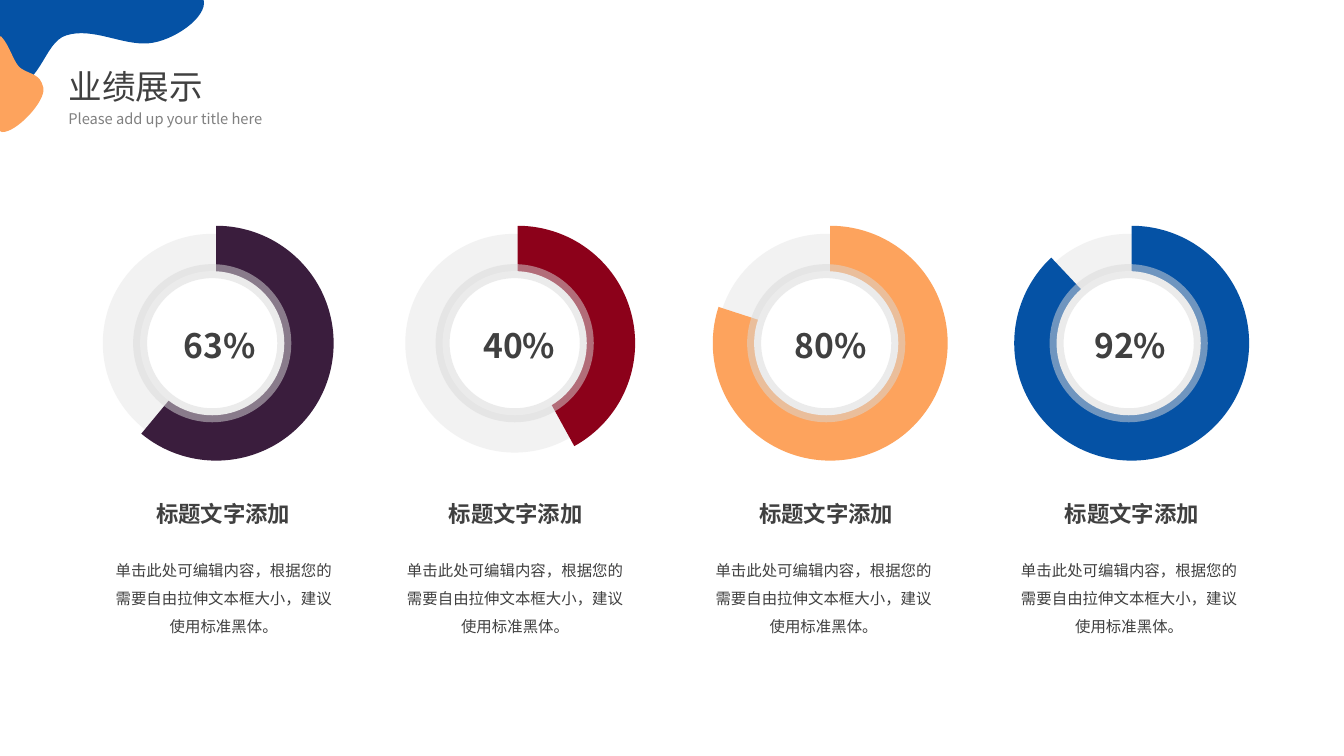
from dataclasses import dataclass

from lxml.etree import SubElement
from pptx import Presentation
from pptx.dml.color import RGBColor
from pptx.enum.shapes import MSO_SHAPE
from pptx.enum.text import MSO_ANCHOR, MSO_AUTO_SIZE, PP_ALIGN
from pptx.oxml.ns import qn
from pptx.shapes.autoshape import Shape
from pptx.slide import Slide
from pptx.util import Inches, Pt

Point = tuple[float, float]
Segment = tuple[Point, ...]


@dataclass(frozen=True)
class Theme:
    font: str = "Noto Sans CJK SC"
    text: str = "404040"
    muted: str = "808080"
    track: str = "F2F2F2"
    ring: str = "D9D9D9"
    white: str = "FFFFFF"
    plum: str = "3A1D3D"
    red: str = "8C011A"
    orange: str = "FDA35D"
    blue: str = "0552A5"
    title_size: float = 24
    subtitle_size: float = 10.5
    percent_size: float = 24
    heading_size: float = 16
    body_size: float = 11


@dataclass(frozen=True)
class Gauge:
    percent: str
    color: str
    end_angle: float
    left: float
    pie_left: float
    percent_left: float
    heading_left: float
    body_left: float


@dataclass(frozen=True)
class Blob:
    color: str
    start: Point
    segments: tuple[Segment, ...]


THEME = Theme()
HEADING = "标题文字添加"
BODY = "单击此处可编辑内容，根据您的需要自由拉伸文本框大小，建议使用标准黑体。"
START_ANGLE = 270
ADJUSTMENT_PER_DEGREE = 0.6

GAUGES = (
    Gauge("63%", THEME.plum, 129.6, 1.02, 0.98, 1.69, 0.97, 1.04),
    Gauge("40%", THEME.red, 61.2, 4.02, 3.97, 4.66, 3.87, 3.93),
    Gauge("80%", THEME.orange, 198, 7.11, 7.07, 7.75, 6.95, 6.99),
    Gauge("92%", THEME.blue, 226.8, 10.11, 10.06, 10.72, 9.98, 10.02),
)

BLOBS = (
    Blob(THEME.blue, (0, 0), (
        ((2.02, 0),),
        ((2.06, 0.17), (1.72, 0.41), (1.47, 0.43)),
        ((1.21, 0.45), (0.92, 0.27), (0.66, 0.35)),
        ((0.42, 0.42), (0.42, 0.9), (0, 0.91)),
    )),
    Blob(THEME.orange, (0, 0.36), (
        ((0.01, 0.36),),
        ((0.1, 0.45), (0.14, 0.64), (0.21, 0.68)),
        ((0.3, 0.74), (0.4, 0.73), (0.43, 0.87)),
        ((0.46, 1), (0.16, 1.32), (0.02, 1.31)),
        ((0, 1.3),),
    )),
)


def place(sp: Shape, left: float, top: float, width: float, height: float) -> None:
    sp.left, sp.top = Inches(left), Inches(top)
    sp.width, sp.height = Inches(width), Inches(height)


def write(sp: Shape, text: str, *, size: float, color: str = THEME.text,
          bold: bool = False, align: PP_ALIGN = PP_ALIGN.CENTER,
          spacing: float = 1.0) -> None:
    tf = sp.text_frame
    tf.word_wrap = True
    tf.auto_size = MSO_AUTO_SIZE.SHAPE_TO_FIT_TEXT
    tf.vertical_anchor = MSO_ANCHOR.TOP
    p = tf.paragraphs[0]
    p.alignment = align
    p.line_spacing = spacing
    r = p.add_run()
    r.text = text
    r.font.name = THEME.font
    r.font.size = Pt(size)
    r.font.bold = bold
    r.font.color.rgb = RGBColor.from_string(color)
    SubElement(r.font._element, qn("a:ea"), typeface=THEME.font)


def add_text(slide: Slide, left: float, top: float, width: float, height: float,
             text: str, **style) -> None:
    sp = slide.shapes.add_textbox(0, 0, 0, 0)
    place(sp, left, top, width, height)
    write(sp, text, **style)


def paint(sp: Shape, color: str) -> None:
    sp.shadow.inherit = False
    sp.fill.solid()
    sp.fill.fore_color.rgb = RGBColor.from_string(color)
    sp.line.fill.background()


def add_round(slide: Slide, kind: MSO_SHAPE, left: float, top: float,
              size: float, color: str) -> Shape:
    sp = slide.shapes.add_shape(kind, Inches(left), Inches(top), Inches(size), Inches(size))
    paint(sp, color)
    return sp


def add_gauge(slide: Slide, gauge: Gauge) -> None:
    add_round(slide, MSO_SHAPE.OVAL, gauge.left, 2.32, 2.17, THEME.track)
    pie = add_round(slide, MSO_SHAPE.PIE, gauge.pie_left, 2.24, 2.33, gauge.color)
    pie.adjustments[0] = START_ANGLE * ADJUSTMENT_PER_DEGREE
    pie.adjustments[1] = gauge.end_angle * ADJUSTMENT_PER_DEGREE
    hub = add_round(slide, MSO_SHAPE.OVAL, gauge.left + 0.37, 2.69, 1.43, THEME.white)
    hub.line.width = Pt(10)
    hub.line.color.rgb = RGBColor.from_string(THEME.ring)
    ring_color = hub.line._ln.find(".//" + qn("a:srgbClr"))
    SubElement(ring_color, qn("a:alpha"), val="50000")

    add_text(slide, gauge.percent_left, 3.17, 0.98, 0.5, gauge.percent,
             size=THEME.percent_size, bold=True)
    add_text(slide, gauge.heading_left, 4.91, 2.49, 0.37, HEADING,
             size=THEME.heading_size, bold=True)
    add_text(slide, gauge.body_left, 5.43, 2.36, 0.93, BODY,
             size=THEME.body_size, spacing=1.5)


def add_blob(slide: Slide, blob: Blob) -> None:
    x, y = blob.start
    builder = slide.shapes.build_freeform(Inches(x), Inches(y))
    corners = [segment[-1] for segment in blob.segments]
    builder.add_line_segments([(Inches(cx), Inches(cy)) for cx, cy in corners], close=True)
    sp = builder.convert_to_shape()
    sides = list(sp._element.iter(qn("a:lnTo")))
    for side, segment in zip(sides, blob.segments):
        if len(segment) == 3:
            side.clear()
            side.tag = qn("a:cubicBezTo")
            for px, py in segment:
                SubElement(side, qn("a:pt"), x=str(Inches(px) - sp.left),
                           y=str(Inches(py) - sp.top))
    paint(sp, blob.color)


def main() -> None:
    prs = Presentation()
    prs.slide_width, prs.slide_height = Inches(13.33), Inches(7.5)
    slide = prs.slides.add_slide(prs.slide_layouts[5])
    title = slide.shapes.title
    place(title, 0.58, 0.6, 2.49, 0.5)
    write(title, "业绩展示", size=THEME.title_size, align=PP_ALIGN.LEFT)
    add_text(slide, 0.58, 1.01, 2.28, 0.31, "Please add up your title here",
             size=THEME.subtitle_size, color=THEME.muted, align=PP_ALIGN.LEFT, spacing=1.2)
    for gauge in GAUGES:
        add_gauge(slide, gauge)
    for blob in BLOBS:
        add_blob(slide, blob)
    prs.save("out.pptx")


if __name__ == "__main__":
    main()
